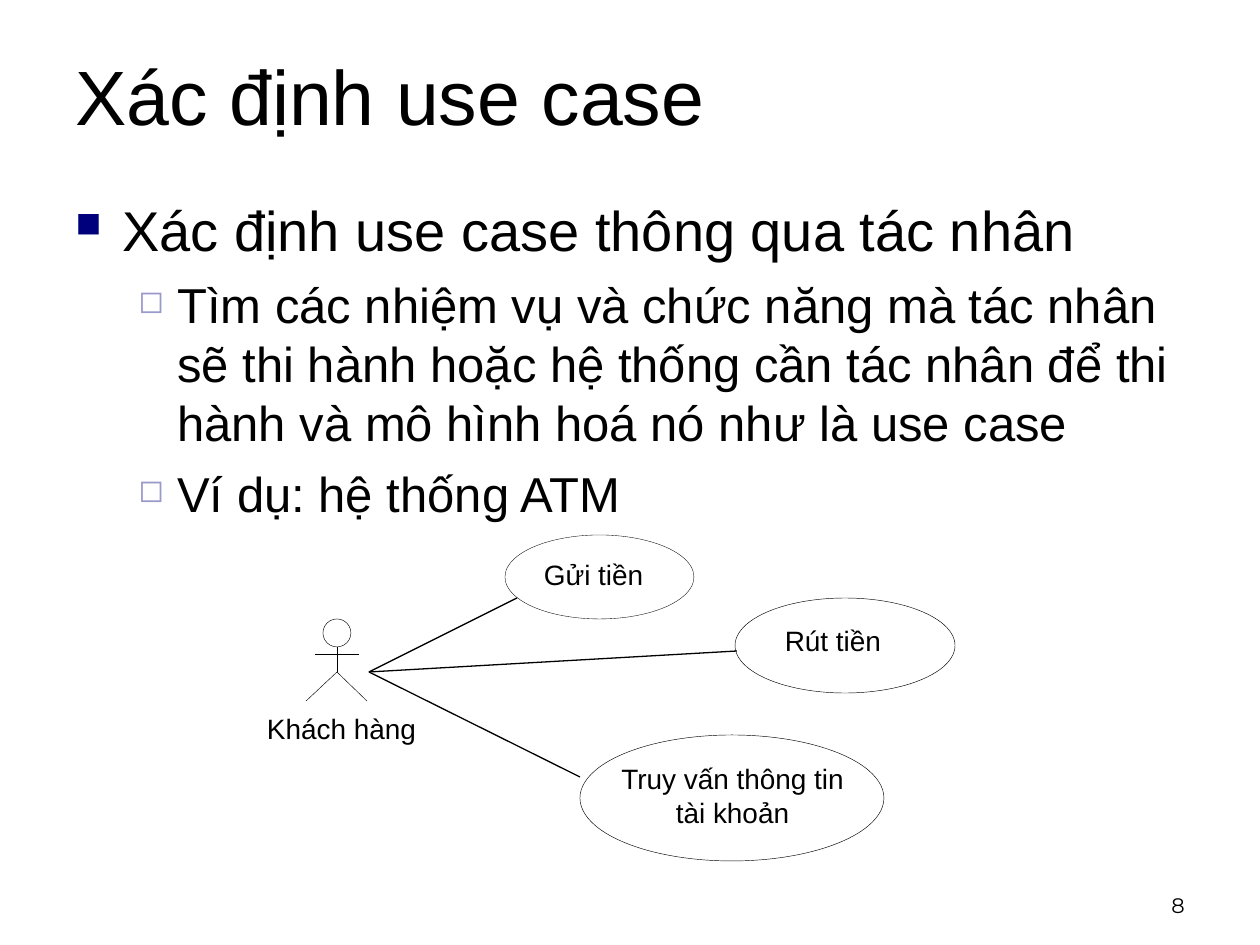
import dataclasses
import typing

import lxml.etree
import pptx
import pptx.dml.color
import pptx.enum.shapes
import pptx.enum.text
import pptx.oxml.ns
import pptx.util

PX = 914400 / 126
COLORS = {"text": "000000", "line": "000000", "square": "00007D", "hollow": "9999CC"}
ALIGN = pptx.enum.text.PP_ALIGN
ANCHOR = pptx.enum.text.MSO_ANCHOR
ACTOR_HAND = (369, 672)


@dataclasses.dataclass(frozen=True)
class Box:
    left: int
    top: int
    width: int
    height: int

    def emu(self) -> list[int]:
        return [px(value) for value in dataclasses.astuple(self)]


@dataclasses.dataclass(frozen=True)
class Bullet:
    character: str
    color: str
    percent: int
    margin: int
    hang: int
    space_before: int
    size: int
    level: int


@dataclasses.dataclass(frozen=True)
class UseCase:
    label: str
    oval: Box
    label_box: Box
    align: typing.Any
    wrap: bool
    link_end: tuple[int, int]
    line_width: float = 0.25


SQUARE = Bullet("■", "square", 63, 47, 47, 8, 32, 0)
HOLLOW = Bullet("◻", "hollow", 64, 102, 39, 7, 28, 1)
BODY = [
    ("Xác định use case thông qua tác nhân", SQUARE),
    ("Tìm các nhiệm vụ và chức năng mà tác nhân sẽ thi hành hoặc hệ thống cần "
     "tác nhân để thi hành và mô hình hoá nó như là use case", HOLLOW),
    ("Ví dụ: hệ thống ATM", HOLLOW),
]
USE_CASES = [
    UseCase("Gửi tiền", Box(505, 535, 189, 84), Box(544, 558, 112, 45),
            ALIGN.LEFT, False, (517, 598), 0.2),
    UseCase("Rút tiền", Box(735, 598, 220, 95), Box(775, 624, 116, 50),
            ALIGN.CENTER, False, (737, 651)),
    UseCase("Truy vấn thông tin tài khoản", Box(580, 735, 304, 126), Box(617, 762, 231, 67),
            ALIGN.CENTER, True, (580, 777)),
]


def px(value: int) -> int:
    return round(value * PX)


def rgb(name: str) -> pptx.dml.color.RGBColor:
    return pptx.dml.color.RGBColor.from_string(COLORS[name])


def set_font(paragraph, size: int, name: str = "Arial") -> None:
    paragraph.font.size = pptx.util.Pt(size)
    paragraph.font.name = name
    paragraph.font.color.rgb = rgb("text")


def add_frame(shapes, box: Box, anchor=ANCHOR.TOP, wrap: bool = True, inset: bool = True):
    frame = shapes.add_textbox(*box.emu()).text_frame
    frame.word_wrap = wrap
    frame.vertical_anchor = anchor
    if not inset:
        frame.margin_left = frame.margin_top = frame.margin_right = frame.margin_bottom = 0
    return frame


def add_label(shapes, box: Box, text: str, size: int, align=ALIGN.LEFT,
              font: str = "Arial", **frame_options) -> None:
    paragraph = add_frame(shapes, box, **frame_options).paragraphs[0]
    paragraph.text = text
    paragraph.alignment = align
    set_font(paragraph, size, font)


def set_bullet(paragraph, bullet: Bullet) -> None:
    paragraph.level = bullet.level
    paragraph.space_before = pptx.util.Pt(bullet.space_before)
    properties = paragraph._p.get_or_add_pPr()
    properties.set("marL", str(px(bullet.margin)))
    properties.set("indent", str(-px(bullet.hang)))

    def add(parent, tag: str, **attributes: str):
        return lxml.etree.SubElement(parent, pptx.oxml.ns.qn(tag), attributes)

    add(add(properties, "a:buClr"), "a:srgbClr", val=COLORS[bullet.color])
    add(properties, "a:buSzPct", val=str(bullet.percent * 1000))
    add(properties, "a:buChar", char=bullet.character)


def set_outline(shape, width: float) -> None:
    shape.line.color.rgb = rgb("line")
    shape.line.width = pptx.util.Pt(width)


def style_hollow(shape, width: float) -> None:
    shape.shadow.inherit = False
    shape.fill.background()
    set_outline(shape, width)


def add_oval(shapes, box: Box, width: float) -> None:
    style_hollow(shapes.add_shape(pptx.enum.shapes.MSO_SHAPE.OVAL, *box.emu()), width)


def add_line(shapes, start: tuple[int, int], end: tuple[int, int], width: float) -> None:
    connector = shapes.add_connector(
        pptx.enum.shapes.MSO_CONNECTOR.STRAIGHT, *(px(value) for value in start + end))
    set_outline(connector, width)
    lxml.etree.SubElement(connector._element.spPr, pptx.oxml.ns.qn("a:effectLst"))


def add_body(shapes) -> None:
    frame = add_frame(shapes, Box(63, 189, 1134, 536))
    for index, (text, bullet) in enumerate(BODY):
        paragraph = frame.add_paragraph() if index else frame.paragraphs[0]
        paragraph.text = text
        set_bullet(paragraph, bullet)
        set_font(paragraph, bullet.size)


def add_actor(shapes) -> None:
    """Draw the stick figure: head, trunk, arms and legs."""
    add_oval(shapes, Box(323, 619, 28, 28), 0.25)
    add_line(shapes, (337, 647), (337, 672), 0.25)
    add_line(shapes, (315, 654), (359, 654), 0.25)
    builder = shapes.build_freeform(306, 701, PX)
    builder.add_line_segments([(337, 672), (367, 701)], close=False)
    style_hollow(builder.convert_to_shape(), 0.25)


def add_use_cases(shapes) -> None:
    for case in USE_CASES:
        add_oval(shapes, case.oval, case.line_width)
        add_label(shapes, case.label_box, case.label, 16, case.align,
                  wrap=case.wrap, inset=False)
    for case in USE_CASES:
        add_line(shapes, ACTOR_HAND, case.link_end, 0.75)


def main() -> None:
    presentation = pptx.Presentation()
    presentation.slide_width = px(1260)
    presentation.slide_height = px(945)
    slide = presentation.slides.add_slide(presentation.slide_layouts[6])
    shapes = slide.shapes
    add_label(shapes, Box(63, 0, 1134, 189), "Xác định use case", 44, anchor=ANCHOR.MIDDLE)
    add_body(shapes)
    add_label(shapes, Box(903, 861, 294, 63), "8", 12, ALIGN.RIGHT, "Montserrat",
              anchor=ANCHOR.BOTTOM)
    add_actor(shapes.add_group_shape().shapes)
    add_label(shapes, Box(252, 712, 179, 34), "Khách hàng", 16, ALIGN.CENTER, inset=False)
    add_use_cases(shapes.add_group_shape().shapes)
    presentation.save("out.pptx")


if __name__ == "__main__":
    main()
